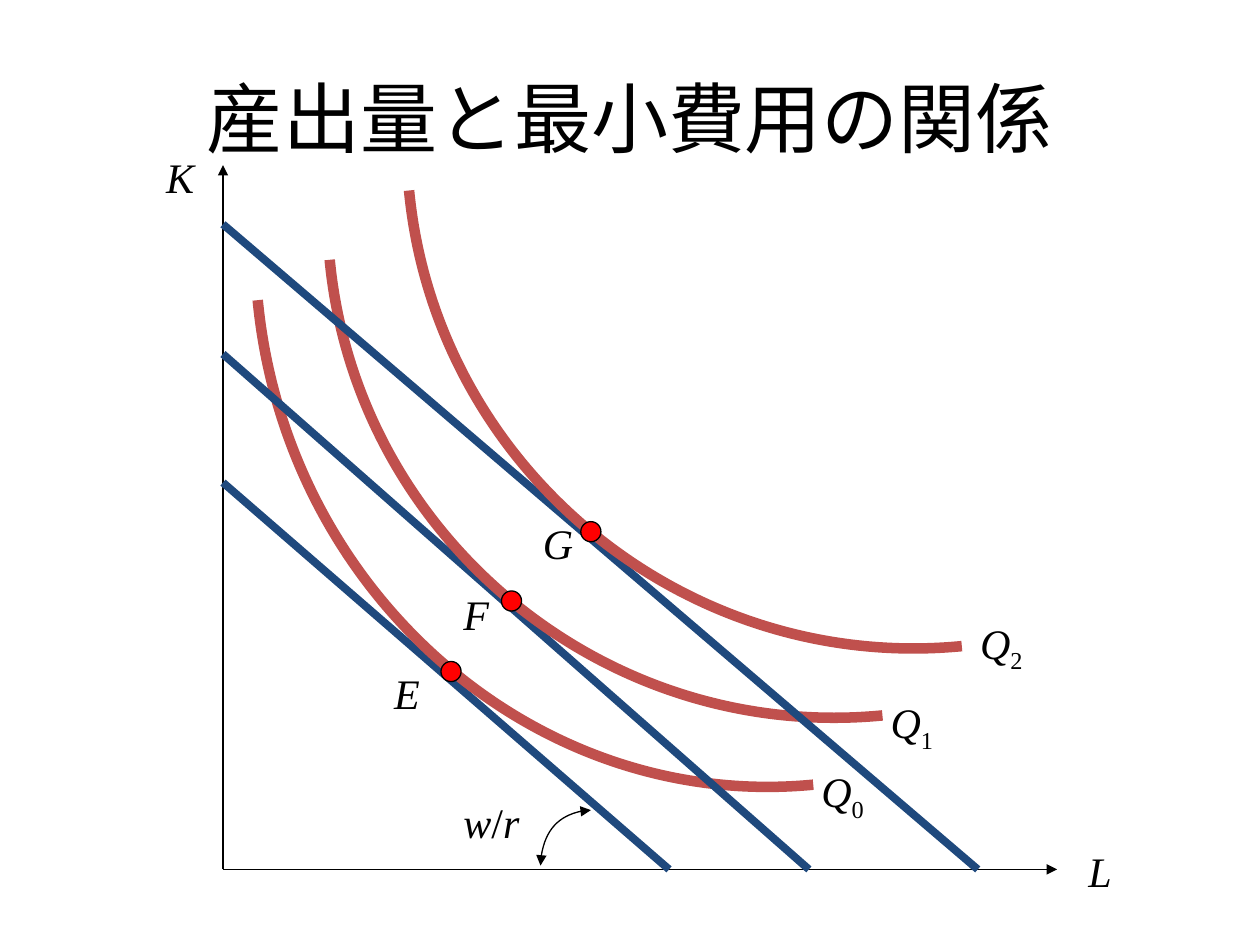
from typing import NamedTuple

from lxml import etree
from pptx import Presentation
from pptx import util as u
from pptx.dml.color import RGBColor
from pptx.enum import shapes, text
from pptx.oxml import ns

COLORS = {"ink": "000000", "isocost": "1F497D", "isoquant": "C0504D", "point": "FF0000"}
ORIGIN_X, ORIGIN_Y = 1.77, 6.9
DOT = 0.16
KAPPA = 0.55  # control distance of a quarter ellipse
LABEL_H = 0.5


class Run(NamedTuple):
    text: str
    italic: bool = True
    subscript: bool = False


class Label(NamedTuple):
    x: float
    y: float
    w: float
    runs: list[Run]


class Level(NamedTuple):
    """One output level: isocost intercepts, isoquant box, tangency and labels."""
    k: float
    l: float
    curve: tuple[float, float, float, float]
    dot: tuple[float, float]
    point: Label
    quantity: Label


def quantity(x: float, y: float, index: str) -> Label:
    """Return the label of an isoquant."""
    return Label(x, y, 0.63, [Run("Q"), Run(index, False, True)])


LEVELS = [
    Level(3.83, 5.31, (2.24, 2.18, 6.26, 6.43), (3.5, 5.25),
          Label(3.03, 5.25, 0.39, [Run("E")]), quantity(6.42, 6.03, "0")),
    Level(2.81, 6.42, (2.8, 1.86, 6.82, 5.88), (3.98, 4.69),
          Label(3.58, 4.62, 0.31, [Run("F")]), quantity(6.97, 5.48, "1")),
    Level(1.78, 7.76, (3.43, 1.31, 7.45, 5.33), (4.61, 4.14),
          Label(4.21, 4.06, 0.39, [Run("G")]), quantity(7.68, 4.85, "2")),
]
LABELS = [
    Label(8.54, 6.66, 0.47, [Run("L")]),
    Label(1.22, 1.15, 0.47, [Run("K")]),
    Label(3.58, 6.27, 0.79, [Run("w"), Run("/", False), Run("r")]),
]


def rgb(name: str) -> RGBColor:
    """Look up a colour."""
    return RGBColor.from_string(COLORS[name])


def style_line(sp, color: str, width: float, *arrows: str) -> None:
    """Set the outline, with arrowheads at the named ends."""
    sp.line.color.rgb = rgb(color)
    sp.line.width = u.Pt(width)
    for end in arrows:
        etree.SubElement(sp.line._get_or_add_ln(), ns.qn(f"a:{end}"), type="triangle")


def add_line(s, x1: float, y1: float, x2: float, y2: float,
             color: str, width: float, *arrows: str) -> None:
    """Draw a straight line."""
    sp = s.shapes.add_connector(shapes.MSO_CONNECTOR.STRAIGHT,
                                *map(u.Inches, (x1, y1, x2, y2)))
    style_line(sp, color, width, *arrows)
    etree.SubElement(sp._element.spPr, ns.qn("a:effectLst"))


def add_arc(s, x1: float, y1: float, x2: float, y2: float, color: str,
            width: float, *arrows: str, rotation: float = 0) -> None:
    """Draw a quarter ellipse that leaves its start horizontally."""
    dx, dy = x2 - x1, y2 - y1
    points = [(x1 + KAPPA * dx, y1), (x2, y2 - KAPPA * dy), (x2, y2)]
    fb = s.shapes.build_freeform(u.Inches(x1), u.Inches(y1))
    fb.add_line_segments([(u.Inches(x), u.Inches(y)) for x, y in points], close=False)
    sp = fb.convert_to_shape()
    outline = sp._element.find(".//" + ns.qn("a:path"))
    bezier = etree.SubElement(outline, ns.qn("a:cubicBezTo"))
    for segment in outline.findall(ns.qn("a:lnTo")):
        bezier.append(segment[0])
        outline.remove(segment)
    sp.rotation = rotation
    sp.shadow.inherit = False
    sp.fill.background()
    style_line(sp, color, width, *arrows)


def add_dot(s, x: float, y: float) -> None:
    """Draw a tangency point."""
    sp = s.shapes.add_shape(shapes.MSO_SHAPE.OVAL, *map(u.Inches, (x, y, DOT, DOT)))
    sp.shadow.inherit = False
    sp.fill.solid()
    sp.fill.fore_color.rgb = rgb("point")
    style_line(sp, "ink", 0.75)


def add_run(p, run: Run, font: str, size: float) -> None:
    """Append one run to a paragraph."""
    r = p.add_run()
    r.text = run.text
    r.font.name = font
    r.font.size = u.Pt(size)
    r.font.italic = run.italic
    r.font.color.rgb = rgb("ink")
    if run.subscript:
        r._r.get_or_add_rPr().set("baseline", "-25000")


def add_label(s, label: Label) -> None:
    """Write a label of the diagram."""
    tf = s.shapes.add_textbox(*map(u.Inches, (label.x, label.y, label.w, LABEL_H))).text_frame
    tf.word_wrap = True
    tf.auto_size = text.MSO_AUTO_SIZE.SHAPE_TO_FIT_TEXT
    p = tf.paragraphs[0]
    before = etree.SubElement(p._p.get_or_add_pPr(), ns.qn("a:spcBef"))
    etree.SubElement(before, ns.qn("a:spcPct"), val="50000")
    for run in label.runs:
        add_run(p, run, "Times New Roman", 24)


def add_title(s, title: str) -> None:
    """Write the slide title."""
    tf = s.shapes.add_textbox(*map(u.Inches, (0.5, 0.3, 9, 1.25))).text_frame
    tf.word_wrap = True
    tf.vertical_anchor = text.MSO_ANCHOR.MIDDLE
    p = tf.paragraphs[0]
    p.alignment = text.PP_ALIGN.CENTER
    add_run(p, Run(title, False), "Calibri", 44)


def add_level(s, level: Level) -> None:
    """Draw an isocost line with its isoquant and tangency point."""
    add_line(s, ORIGIN_X, level.k, level.l, ORIGIN_Y, "isocost", 4.5)
    add_arc(s, *level.curve, "isoquant", 6, rotation=174.5)
    add_dot(s, *level.dot)
    add_label(s, level.point)
    add_label(s, level.quantity)


prs = Presentation()
prs.slide_width, prs.slide_height = u.Inches(10), u.Inches(7.5)
s = prs.slides.add_slide(prs.slide_layouts[6])
add_title(s, "産出量と最小費用の関係")
for end_x, end_y in [(8.39, ORIGIN_Y), (ORIGIN_X, 1.31)]:
    add_line(s, ORIGIN_X, ORIGIN_Y, end_x, end_y, "ink", 0.75, "tailEnd")
add_arc(s, 4.69, 6.43, 4.29, 6.87, "ink", 0.75, "headEnd", "tailEnd")
for label in LABELS:
    add_label(s, label)
for level in LEVELS:
    add_level(s, level)
prs.save("out.pptx")
